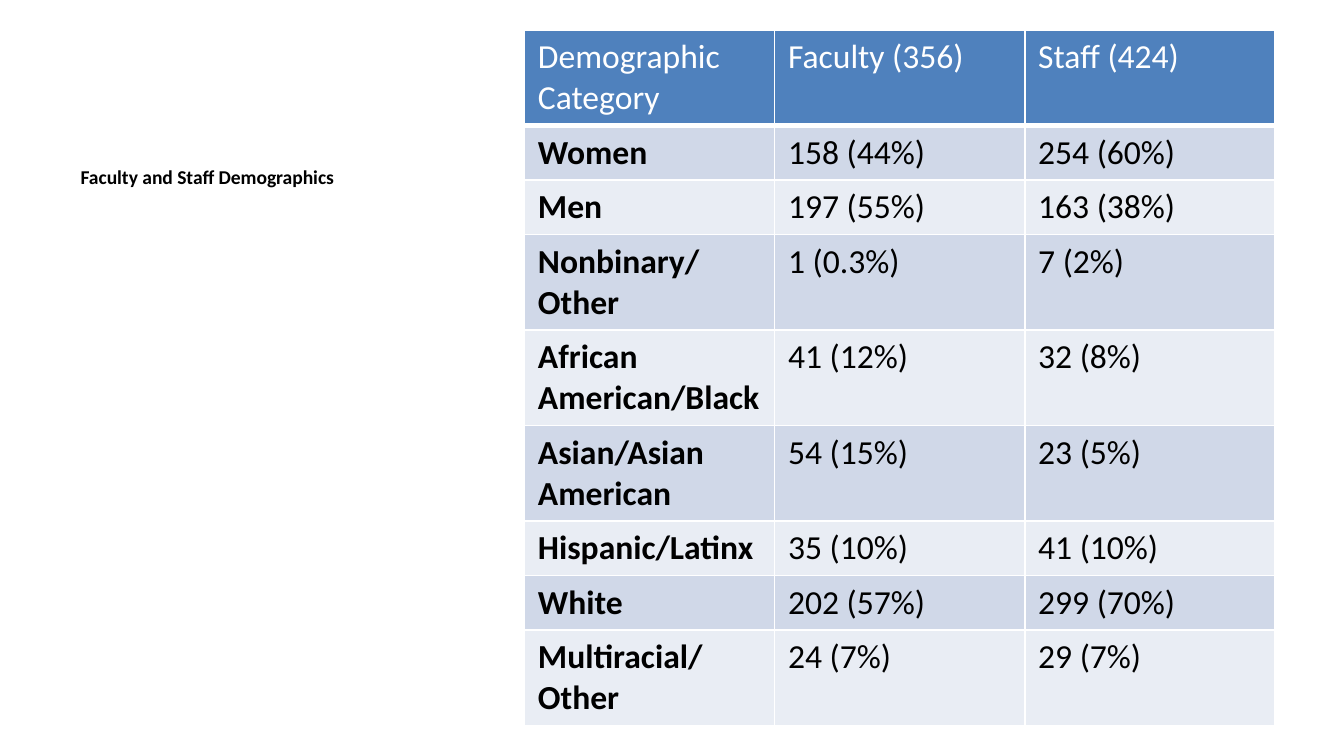
from lxml.etree import SubElement
from pptx import Presentation
from pptx.dml.color import RGBColor
from pptx.enum.text import MSO_ANCHOR, PP_ALIGN
from pptx.oxml.ns import qn
from pptx.util import Pt

WHITE = RGBColor(0xFF, 0xFF, 0xFF)
BLACK = RGBColor(0x00, 0x00, 0x00)
HEADER_BLUE = RGBColor(0x4F, 0x81, 0xBD)
BAND_DARK = RGBColor(0xD0, 0xD8, 0xE8)
BAND_LIGHT = RGBColor(0xE9, 0xED, 0xF4)
FONT = "Calibri"
SINGLE_LINE, DOUBLE_LINE = Pt(29.2), Pt(51)

DEMOGRAPHICS = [
    (DOUBLE_LINE, "Demographic Category", "Faculty (356)", "Staff (424)"),
    (SINGLE_LINE, "Women", "158 (44%)", "254 (60%)"),
    (SINGLE_LINE, "Men", "197 (55%)", "163 (38%)"),
    (DOUBLE_LINE, "Nonbinary/Other", "1 (0.3%)", "7 (2%)"),
    (DOUBLE_LINE, "African American/Black", "41 (12%)", "32 (8%)"),
    (DOUBLE_LINE, "Asian/Asian American", "54 (15%)", "23 (5%)"),
    (SINGLE_LINE, "Hispanic/Latinx", "35 (10%)", "41 (10%)"),
    (SINGLE_LINE, "White", "202 (57%)", "299 (70%)"),
    (DOUBLE_LINE, "Multiracial/Other", "24 (7%)", "29 (7%)"),
]


def format_text(text_frame, text, size, color, bold):
    text_frame.text = text
    paragraph = text_frame.paragraphs[0]
    paragraph.alignment = PP_ALIGN.LEFT
    font = paragraph.runs[0].font
    font.name, font.size, font.bold = FONT, size, bold
    font.color.rgb = color


def add_borders(cell, bottom_width):
    properties = cell._tc.get_or_add_tcPr()
    widths = {"L": Pt(1), "R": Pt(1), "T": Pt(1), "B": bottom_width}
    for side, width in widths.items():
        border = SubElement(properties, qn(f"a:ln{side}"), w=str(width))
        fill = SubElement(border, qn("a:solidFill"))
        SubElement(fill, qn("a:srgbClr"), val=str(WHITE))


def fill_cell(cell, text, row, column):
    is_header = row == 0
    add_borders(cell, Pt(3) if is_header else Pt(1))
    band = BAND_DARK if row % 2 else BAND_LIGHT
    cell.fill.solid()
    cell.fill.fore_color.rgb = HEADER_BLUE if is_header else band
    format_text(cell.text_frame, text, Pt(18),
                WHITE if is_header else BLACK,
                not is_header and column == 0)


def set_title(slide, text):
    title = slide.shapes.title
    title.left, title.top = Pt(36), Pt(85)
    title.width, title.height = Pt(237), Pt(277)
    title.text_frame.word_wrap = True
    title.text_frame.vertical_anchor = MSO_ANCHOR.TOP
    format_text(title.text_frame, text, Pt(10.5), BLACK, True)


def add_demographics_table(slide):
    total_height = sum(height for height, *_ in DEMOGRAPHICS)
    table = slide.shapes.add_table(len(DEMOGRAPHICS), 3, Pt(281), Pt(16),
                                   Pt(402), total_height).table
    for row, (height, *texts) in enumerate(DEMOGRAPHICS):
        table.rows[row].height = height
        for column, text in enumerate(texts):
            fill_cell(table.cell(row, column), text, row, column)


def main():
    presentation = Presentation()
    presentation.slide_width, presentation.slide_height = Pt(720), Pt(405)
    slide = presentation.slides.add_slide(presentation.slide_layouts[5])
    set_title(slide, "Faculty and Staff Demographics")
    add_demographics_table(slide)
    presentation.save("out.pptx")


if __name__ == "__main__":
    main()
